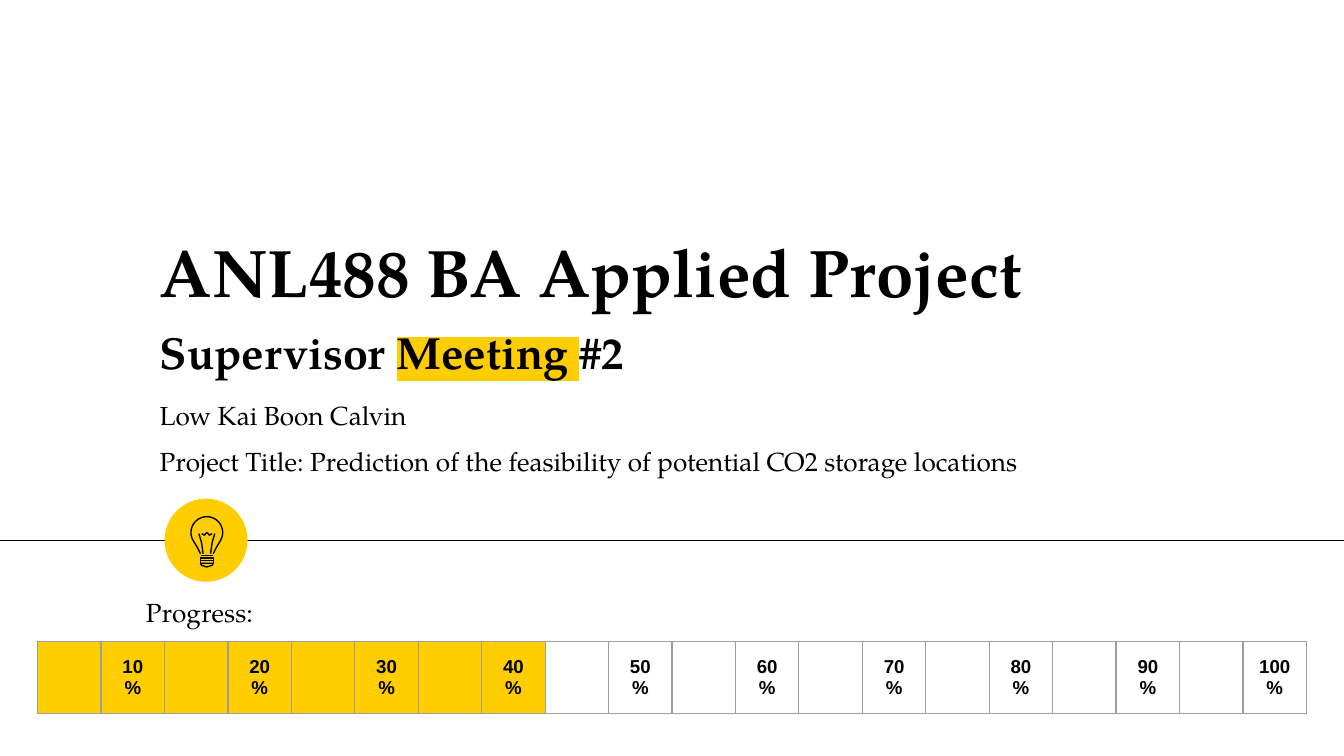
from math import cos, radians, sin

from lxml.etree import SubElement
from pptx import Presentation
from pptx.dml.color import RGBColor
from pptx.enum.shapes import MSO_CONNECTOR as Connector, MSO_SHAPE as Shape
from pptx.enum.text import MSO_ANCHOR as Anchor, MSO_AUTO_SIZE as AutoSize, PP_ALIGN as Align
from pptx.oxml import parse_xml
from pptx.oxml.ns import nsdecls, qn
from pptx.util import Cm, Pt

COLORS = {"ink": "000000", "accent": "FFCD00", "grid": "9E9E9E"}
SERIF = "TeX Gyre Pagella"


def write(frame, parts, size, bold=False, font=SERIF, align=Align.LEFT):
    paragraph = frame.paragraphs[0]
    paragraph.alignment = align
    paragraph.space_before = Pt(0)
    for words, marked in parts:
        run = paragraph.add_run()
        run.text = words
        run.font.size = Pt(size)
        run.font.bold = bold
        run.font.name = font
        run.font.color.rgb = RGBColor.from_string(COLORS["ink"])
        if marked:
            run._r.rPr.find(qn("a:solidFill")).addnext(parse_xml(
                f'<a:highlight {nsdecls("a")}><a:srgbClr val="{COLORS["accent"]}"/></a:highlight>'))


def rule(x1, x2, y):
    line = slide.shapes.add_connector(Connector.STRAIGHT, Cm(x1), Cm(y), Cm(x2), Cm(y))
    line.line.color.rgb = RGBColor.from_string(COLORS["ink"])
    line.line.width = Pt(0.75)
    SubElement(line._element.spPr, qn("a:effectLst"))


deck = Presentation()
deck.slide_width, deck.slide_height = Cm(25.4), Cm(14.28)
slide = deck.slides.add_slide(deck.slide_layouts[0])

rule(0, 25.4, 10.21)
badge = slide.shapes.add_shape(Shape.OVAL, Cm(3.11), Cm(9.42), Cm(1.57), Cm(1.57))
badge.shadow.inherit = False
badge.fill.solid()
badge.fill.fore_color.rgb = RGBColor.from_string(COLORS["accent"])
badge.line.fill.background()

bulb_x, bulb_y, radius = 3.91, 10.06, 0.3
glass = [(bulb_x + radius * cos(radians(a)), bulb_y + radius * sin(radians(a)))
         for a in range(150, 391, 10)]
glass = [(3.79, 10.46), (3.73, 10.34)] + glass + [(4.09, 10.34), (4.03, 10.46)]
filament = [(3.76, 10.08), (3.81, 10.25), (3.84, 10.46)]
mirrored_filament = [(2 * bulb_x - x, y) for x, y in filament]
coil = [(3.81, 10.08), (3.86, 10.11), (3.91, 10.06), (3.96, 10.11), (4.01, 10.08)]
threads = [[(3.79, y), (4.03, y), (4.03, y + 0.05), (3.79, y + 0.05)] for y in (10.54, 10.59)]
cap = [(3.79, 10.64), (4.03, 10.64), (4.01, 10.68), (3.91, 10.71), (3.81, 10.68)]

outlines = [(points, False) for points in (glass, filament, mirrored_filament, coil)]
outlines += [(points, True) for points in (*threads, cap)]
for points, closed in outlines:
    corners = [(Cm(x), Cm(y)) for x, y in points]
    builder = slide.shapes.build_freeform(*corners[0])
    builder.add_line_segments(corners[1:], close=closed)
    stroke = builder.convert_to_shape()
    stroke.shadow.inherit = False
    stroke.fill.background()
    stroke.line.color.rgb = RGBColor.from_string(COLORS["ink"])
    stroke.line.width = Pt(0.75)
rule(3.79, 4.03, 10.49)

course, meeting = slide.shapes.title, slide.placeholders[1]
author, topic, progress = [slide.shapes.add_textbox(0, 0, 0, 0) for _ in range(3)]
texts = [
    (course, (2.77, 4.04, 17.68, 2.08), [("ANL488 BA Applied Project", False)], 36, True, 0.25),
    (meeting, (2.77, 5.88, 15.93, 1.55),
     [("Supervisor ", False), ("Meeting ", True), ("#2", False)], 24, True, 0.25),
    (author, (2.77, 7.29, 6.27, 1.12), [("Low Kai Boon Calvin", False)], 14, False, 0.25),
    (topic, (2.77, 8.28, 20.5, 0.86),
     [("Project Title: Prediction of the feasibility of potential CO2 storage locations", False)],
     14, False, 0.13),
    (progress, (2.51, 11.02, 5.21, 1.12), [("Progress:", False)], 14, False, 0.25),
]
for box, place, parts, size, bold, inset in texts:
    box.left, box.top, box.width, box.height = [Cm(length) for length in place]
    frame = box.text_frame
    frame.word_wrap = True
    frame.auto_size = AutoSize.NONE
    frame.vertical_anchor = Anchor.BOTTOM if box is course else Anchor.TOP
    frame.margin_left = frame.margin_right = Cm(0.25)
    frame.margin_top = frame.margin_bottom = Cm(inset)
    write(frame, parts, size, bold)

steps, done = 20, 8
scale = slide.shapes.add_table(1, steps, Cm(0.71), Cm(12.12), Cm(23.98), Cm(1.36)).table
scale.first_row = scale.horz_banding = False
for step, cell in enumerate(scale.rows[0].cells, 1):
    cell.margin_left = cell.margin_right = cell.margin_top = cell.margin_bottom = Cm(0.25)
    cell.vertical_anchor = Anchor.MIDDLE
    for side in ("lnL", "lnR", "lnT", "lnB"):
        edge = SubElement(cell._tc.get_or_add_tcPr(), qn(f"a:{side}"), w=str(Pt(0.75)))
        SubElement(SubElement(edge, qn("a:solidFill")), qn("a:srgbClr"), val=COLORS["grid"])
    if step <= done:
        cell.fill.solid()
        cell.fill.fore_color.rgb = RGBColor.from_string(COLORS["accent"])
    else:
        cell.fill.background()
    if step % 2 == 0:
        write(cell.text_frame, [(f"{step * 5}%", False)], 10, True, "Arial", Align.CENTER)

deck.save("out.pptx")
